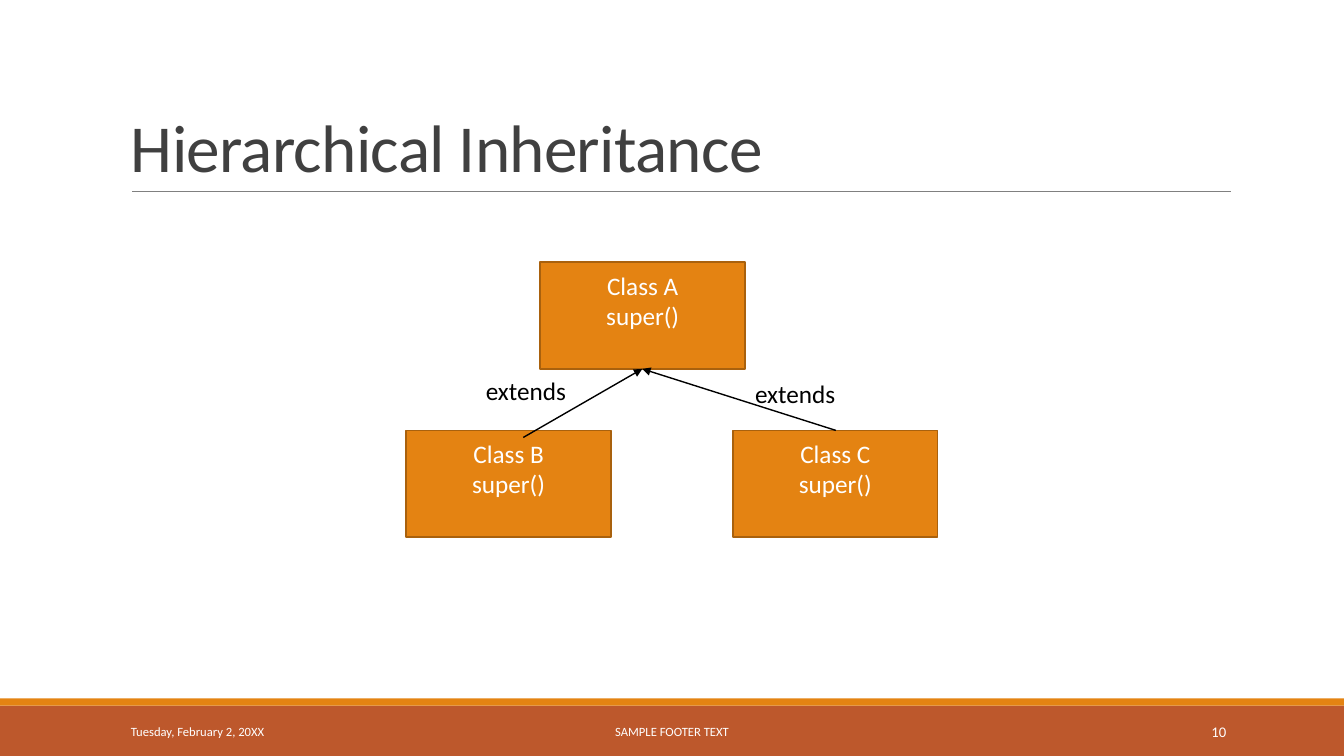
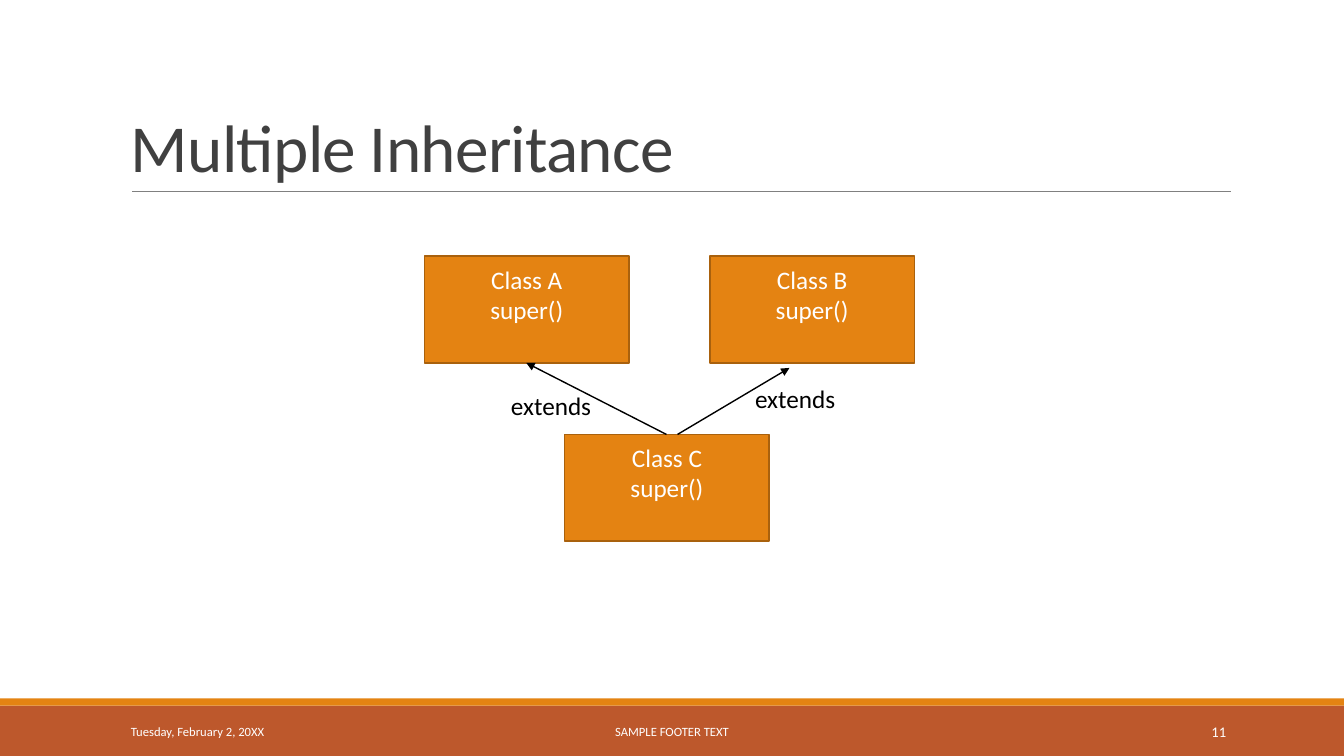
from dataclasses import dataclass

import lxml.etree
import pptx
import pptx.dml.color
import pptx.enum.shapes
import pptx.enum.text
import pptx.oxml.ns
import pptx.util

Inches = pptx.util.Inches
Pt = pptx.util.Pt
RGB = pptx.dml.color.RGBColor.from_string
ALIGN = pptx.enum.text.PP_ALIGN
ANCHOR = pptx.enum.text.MSO_ANCHOR
RECTANGLE = pptx.enum.shapes.MSO_SHAPE.RECTANGLE
STRAIGHT = pptx.enum.shapes.MSO_CONNECTOR.STRAIGHT


@dataclass(frozen=True)
class Theme:
    font: str = "Calibri"
    accent: str = "E48312"
    accent_edge: str = "A9610D"
    band: str = "BD582C"
    title: str = "404040"
    rule: str = "808080"
    ink: str = "000000"
    white: str = "FFFFFF"
    title_size: float = 48
    body_size: float = 18
    footer_size: float = 9
    number_size: float = 10.5


THEME = Theme()
BOX_WIDTH, BOX_HEIGHT = 2.03, 1.06
LABEL_WIDTH, LABEL_HEIGHT = 1.07, 0.4

DIAGRAMS = [
    {
        "title": "Hierarchical Inheritance",
        "number": "10",
        "classes": [("Class A", 5.36, 2.6), ("Class B", 4.03, 4.27), ("Class C", 7.27, 4.27)],
        "arrows": [((5.19, 4.34), (6.37, 3.66)), ((8.29, 4.27), (6.37, 3.66))],
        "labels": [(4.72, 3.67), (7.39, 3.7)],
    },
    {
        "title": "Multiple Inheritance",
        "number": "11",
        "classes": [("Class A", 4.21, 2.54), ("Class B", 7.04, 2.54), ("Class C", 5.6, 4.31)],
        "arrows": [((6.61, 4.31), (5.22, 3.6)), ((6.72, 4.31), (7.83, 3.65))],
        "labels": [(4.97, 3.82), (7.39, 3.75)],
    },
]


def add_block(slide, area, lines=(), size=THEME.body_size, color=THEME.white,
              align=ALIGN.LEFT, anchor=ANCHOR.MIDDLE, fill=None):
    """Add a text box, or a rectangle when a fill is given, one paragraph per line."""
    place = [Inches(length) for length in area]
    if fill:
        block = slide.shapes.add_shape(RECTANGLE, *place)
        block.shadow.inherit = False
        block.fill.solid()
        block.fill.fore_color.rgb = RGB(fill)
        block.line.fill.background()
    else:
        block = slide.shapes.add_textbox(*place)
    frame = block.text_frame
    frame.word_wrap = True
    frame.vertical_anchor = anchor
    for index, line in enumerate(lines):
        paragraph = frame.add_paragraph() if index else frame.paragraphs[0]
        paragraph.alignment = align
        run = paragraph.add_run()
        run.text = line
        run.font.name = THEME.font
        run.font.size = Pt(size)
        run.font.color.rgb = RGB(color)
    return block


def add_line(slide, start, end, color, width, arrow=False):
    line = slide.shapes.add_connector(STRAIGHT, *[Inches(length) for length in start + end])
    line.line.color.rgb = RGB(color)
    line.line.width = Pt(width)
    properties = line._element.spPr
    if arrow:
        outline = properties.find(pptx.oxml.ns.qn("a:ln"))
        lxml.etree.SubElement(outline, pptx.oxml.ns.qn("a:tailEnd"), type="triangle")
    lxml.etree.SubElement(properties, pptx.oxml.ns.qn("a:effectLst"))


deck = pptx.Presentation()
deck.slide_width = Inches(13.33)
deck.slide_height = Inches(7.5)

for diagram in DIAGRAMS:
    slide = deck.slides.add_slide(deck.slide_layouts[6])

    # Bands, title and footer
    add_block(slide, (0, 7, 13.33, 0.5), fill=THEME.band)
    add_block(slide, (0, 6.93, 13.33, 0.07), fill=THEME.accent)
    add_line(slide, (1.31, 1.9), (12.21, 1.9), THEME.rule, 0.5)
    heading = add_block(slide, (1.2, 0.31, 11, 1.59), [diagram["title"]],
                        THEME.title_size, THEME.title, anchor=ANCHOR.BOTTOM)
    heading_text = heading.text_frame.paragraphs[0]
    heading_text.line_spacing = 0.85
    heading_text.runs[0]._r.get_or_add_rPr().set("spc", "-50")
    for text, left, width, size, align in [
        ("Tuesday, February 2, 20XX", 1.2, 2.7, THEME.footer_size, ALIGN.LEFT),
        ("SAMPLE FOOTER TEXT", 4.03, 5.27, THEME.footer_size, ALIGN.CENTER),
        (diagram["number"], 10.83, 1.43, THEME.number_size, ALIGN.RIGHT),
    ]:
        add_block(slide, (left, 7.06, width, 0.4), [text], size, align=align)

    # Class diagram
    for class_name, left, top in diagram["classes"]:
        class_box = add_block(slide, (left, top, BOX_WIDTH, BOX_HEIGHT), [class_name, "super()"],
                              align=ALIGN.CENTER, fill=THEME.accent)
        class_box.line.color.rgb = RGB(THEME.accent_edge)
        class_box.line.width = Pt(1.25)
        class_box.text_frame.margin_bottom = Inches(0.35)
    for start, end in diagram["arrows"]:
        add_line(slide, start, end, THEME.ink, 1, arrow=True)
    for left, top in diagram["labels"]:
        add_block(slide, (left, top, LABEL_WIDTH, LABEL_HEIGHT), ["extends"],
                  color=THEME.ink, anchor=ANCHOR.TOP)

deck.save("out.pptx")
